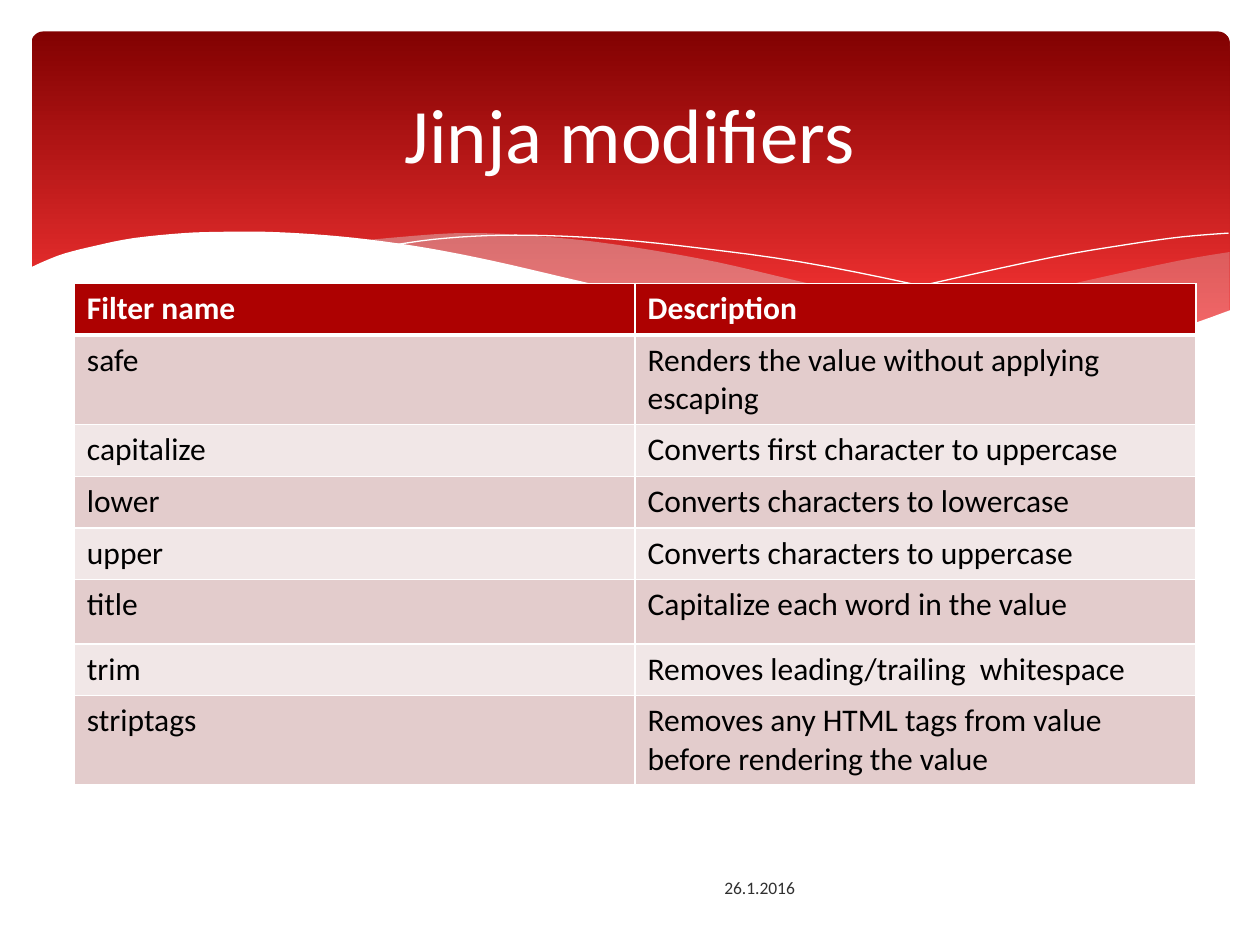
from dataclasses import dataclass

from pptx import Presentation
from pptx.dml.color import RGBColor
from pptx.enum.shapes import MSO_SHAPE
from pptx.enum.text import MSO_ANCHOR, PP_ALIGN
from pptx.oxml.ns import qn
from pptx.util import Inches, Pt
from lxml.etree import SubElement


@dataclass(frozen=True)
class Theme:
    font: str = "Calibri"
    white: str = "FFFFFF"
    black: str = "000000"
    banner_top: str = "820101"
    banner_bottom: str = "FE3737"
    wave: str = "DEDEE0"
    header: str = "AD0101"
    bands: tuple = ("E3CCCC", "F1E7E7")
    date: str = "303030"
    title_size: int = 44
    table_size: int = 18
    date_size: int = 10


THEME = Theme()
TITLE = "Jinja modifiers"
DATE = "26.1.2016"
FILTERS = [
    ("Filter name", "Description"),
    ("safe", "Renders the value without applying escaping"),
    ("capitalize", "Converts first character to uppercase"),
    ("lower", "Converts characters to lowercase "),
    ("upper", "Converts characters to uppercase "),
    ("title", "Capitalize each word in the value"),
    ("trim", "Removes leading/trailing  whitespace"),
    ("striptags", "Removes any HTML tags from value before rendering the value"),
]
COLUMN_WIDTH = 4.45
ROW_HEIGHT = 0.41
ROW_HEIGHTS = {"title": 0.51}

WAVES = [
    dict(alpha=29, edges=[
        [(9.76, 2), (9.35, 2.07), (8.61, 2.23), (7.79, 2.42), (7.06, 2.57), (6.61, 2.65)],
        [(6.61, 2.65), (7.05, 2.71), (7.57, 2.76), (8.03, 2.78), (8.54, 2.76),
         (8.97, 2.7), (9.35, 2.62), (9.76, 2.47)],
    ]),
    dict(alpha=40, edges=[
        [(8.93, 2.73), (8.37, 2.65), (7.75, 2.54), (7.06, 2.4), (6.29, 2.22), (5.69, 2.08),
         (5.14, 1.98), (4.65, 1.91), (4.2, 1.87), (3.8, 1.85), (3.44, 1.86), (2.86, 1.91)],
        [(2.86, 1.91), (3.42, 1.99), (4.04, 2.11), (4.49, 2.22), (5.3, 2.4), (6.01, 2.55),
         (6.65, 2.66), (7.22, 2.74), (7.73, 2.77), (8.18, 2.78), (8.57, 2.77), (8.93, 2.73)],
    ]),
    dict(outline=True, edges=[
        [(3.09, 1.95), (3.44, 1.9), (3.87, 1.87), (4.33, 1.87), (4.89, 1.9), (5.56, 1.97),
         (6.36, 2.08), (7.27, 2.26), (8.31, 2.51), (9.07, 2.72)],
    ]),
    dict(outline=True, edges=[
        [(6.13, 2.57), (6.72, 2.41), (7.48, 2.23), (8.36, 2.04), (8.95, 1.94),
         (9.38, 1.88), (9.75, 1.85)],
    ]),
    dict(color=THEME.white, edges=[
        [(9.77, 2.46), (9.4, 2.59), (8.99, 2.69), (8.5, 2.75), (8.09, 2.77), (7.61, 2.75),
         (7.08, 2.7), (6.48, 2.62), (5.79, 2.5), (5.03, 2.33), (4.47, 2.2), (3.91, 2.07),
         (3.4, 1.97), (2.92, 1.9), (2.5, 1.86), (2.11, 1.84), (1.77, 1.84), (1.46, 1.85),
         (1.06, 1.89), (0.76, 1.95), (0.52, 2.01), (0.36, 2.07), (0.23, 2.13)],
        [(0.23, 3.29), (9.77, 3.29)],
    ]),
]


def rgb(value):
    return RGBColor.from_string(value)


def smooth_edge(points, steps=4):
    padded = [points[0], *points, points[-1]]
    curve = [points[0]]
    for a, b, c, d in zip(padded, padded[1:], padded[2:], padded[3:]):
        for step in range(1, steps + 1):
            t = step / steps
            curve.append(tuple(
                0.5 * (2 * q + (r - p) * t + (2 * p - 5 * q + 4 * r - s) * t**2
                       + (3 * q - p - 3 * r + s) * t**3)
                for p, q, r, s in zip(a, b, c, d)))
    return curve


def set_text(frame, text, size, color, bold=False, align=PP_ALIGN.LEFT):
    paragraph = frame.paragraphs[0]
    paragraph.alignment = align
    run = paragraph.add_run()
    run.text = text
    run.font.name = THEME.font
    run.font.size = Pt(size)
    run.font.bold = bold
    run.font.color.rgb = rgb(color)


def add_wave(shapes, edges, color=THEME.wave, alpha=100, outline=False):
    points = [(Inches(x), Inches(y)) for edge in edges for x, y in smooth_edge(edge)]
    builder = shapes.build_freeform(*points[0], scale=1.0)
    builder.add_line_segments(points[1:], close=not outline)
    shape = builder.convert_to_shape()
    shape.shadow.inherit = False
    if outline:
        shape.fill.background()
        shape.line.color.rgb = rgb(THEME.white)
        shape.line.width = Pt(0)
        return
    shape.line.fill.background()
    shape.fill.solid()
    shape.fill.fore_color.rgb = rgb(color)
    if alpha < 100:
        fill_color = shape._element.spPr.find(qn("a:solidFill")).find(qn("a:srgbClr"))
        SubElement(fill_color, qn("a:alpha"), val=str(alpha * 1000))


def add_banner(shapes):
    banner = shapes.add_shape(MSO_SHAPE.ROUNDED_RECTANGLE, Inches(0.25), Inches(0.25),
                              Inches(9.51), Inches(2.7))
    banner.adjustments[0] = 0.034
    banner.shadow.inherit = False
    banner.line.fill.background()
    banner.fill.gradient()
    banner.fill.gradient_angle = 270
    stops = ((0, THEME.banner_top), (0.9, THEME.banner_bottom))
    for stop, (position, color) in zip(banner.fill.gradient_stops, stops):
        stop.position = position
        stop.color.rgb = rgb(color)


def set_borders(cell, bottom):
    properties = cell._tc.get_or_add_tcPr()
    widths = {"a:lnL": 1, "a:lnR": 1, "a:lnT": 1, "a:lnB": bottom}
    for index, (tag, width) in enumerate(widths.items()):
        line = properties.makeelement(qn(tag), {"w": str(Pt(width))})
        SubElement(SubElement(line, qn("a:solidFill")), qn("a:srgbClr"), val=THEME.white)
        properties.insert(index, line)


def add_filter_table(shapes):
    heights = [ROW_HEIGHTS.get(name, ROW_HEIGHT) for name, _ in FILTERS]
    table = shapes.add_table(len(FILTERS), 2, Inches(0.59), Inches(2.25),
                             Inches(2 * COLUMN_WIDTH), Inches(sum(heights))).table
    table.horz_banding = False
    for column in table.columns:
        column.width = Inches(COLUMN_WIDTH)
    for index, (row, texts) in enumerate(zip(table.rows, FILTERS)):
        row.height = Inches(heights[index])
        header = index == 0
        for cell, text in zip(row.cells, texts):
            cell.fill.solid()
            cell.fill.fore_color.rgb = rgb(THEME.header if header else THEME.bands[(index - 1) % 2])
            set_text(cell.text_frame, text, size=THEME.table_size, bold=header,
                     color=THEME.white if header else THEME.black)
            set_borders(cell, bottom=3 if header else 1)


def add_date(shapes):
    box = shapes.add_textbox(Inches(5.65), Inches(6.84), Inches(4.14), Inches(0.4))
    box.text_frame.word_wrap = True
    box.text_frame.vertical_anchor = MSO_ANCHOR.MIDDLE
    set_text(box.text_frame, DATE, size=THEME.date_size, color=THEME.date)


def place_title(shapes):
    title = shapes.title
    title.left, title.top, title.width, title.height = map(Inches, (0.5, 0.37, 9, 1.37))
    title.text_frame.vertical_anchor = MSO_ANCHOR.MIDDLE
    set_text(title.text_frame, TITLE, size=THEME.title_size, color=THEME.white,
             align=PP_ALIGN.CENTER)
    shapes._spTree.append(title._element)


presentation = Presentation()
presentation.slide_width, presentation.slide_height = Inches(10), Inches(7.5)
slide = presentation.slides.add_slide(presentation.slide_layouts[5])
add_banner(slide.shapes)
for wave in WAVES:
    add_wave(slide.shapes, **wave)
add_filter_table(slide.shapes)
add_date(slide.shapes)
place_title(slide.shapes)
presentation.save("out.pptx")
